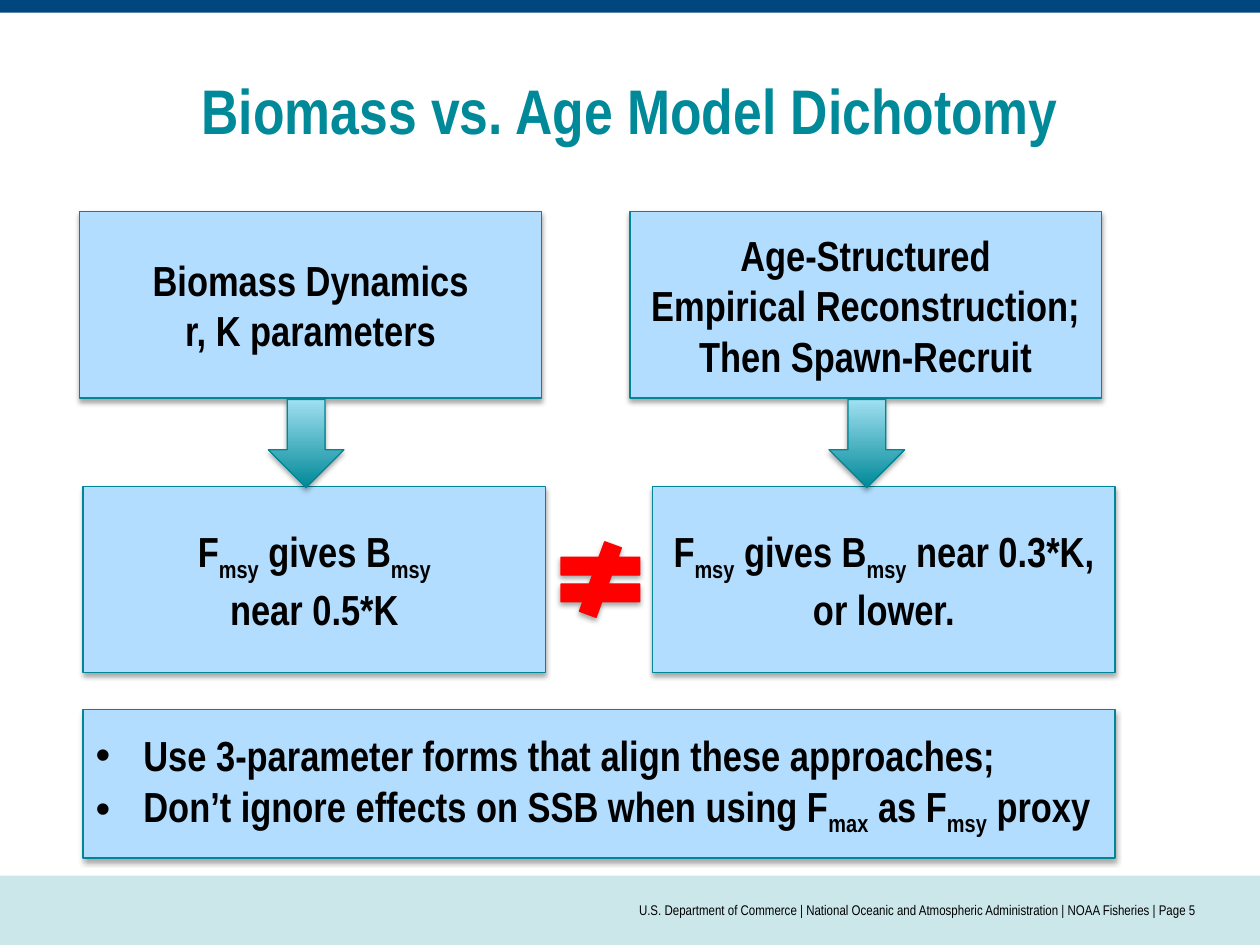
import pptx
import pptx.util
import pptx.dml.color
import pptx.enum.shapes
import pptx.enum.text
import pptx.oxml
import pptx.oxml.ns

Inches = pptx.util.Inches
Pt = pptx.util.Pt
Kind = pptx.enum.shapes.MSO_SHAPE
Align = pptx.enum.text.PP_ALIGN
Anchor = pptx.enum.text.MSO_ANCHOR


def rgb(code):
    return pptx.dml.color.RGBColor.from_string(code)


class Deck:
    """Holds the style and the current slide, and draws each kind of element."""

    face = "Arial Narrow"
    teal = "008998"
    edge = "008695"
    pale = "B2DDFF"
    ink = "000000"

    def __init__(self):
        self.show = pptx.Presentation()
        self.show.slide_width = Inches(10)
        self.show.slide_height = Inches(7.5)
        self.slide = self.show.slides.add_slide(self.show.slide_layouts[6])

    def shape(self, kind, spot, fill):
        item = self.slide.shapes.add_shape(kind, *map(Inches, spot))
        item.shadow.inherit = False
        if fill:
            item.fill.solid()
            item.fill.fore_color.rgb = rgb(fill)
        return item

    def band(self, top, height, fill):
        self.shape(Kind.RECTANGLE, (0, top, 10, height), fill).line.fill.background()

    def raised(self, kind, spot, fill, edge):
        item = self.shape(kind, spot, fill)
        item.line.color.rgb = rgb(edge)
        item.line.width = Pt(0.75)
        shade = pptx.oxml.parse_xml(
            f'<a:outerShdw {pptx.oxml.ns.nsdecls("a")} blurRad="{Pt(3.1)}" '
            f'dist="{Pt(1.8)}" dir="5400000" rotWithShape="0">'
            '<a:srgbClr val="000000"><a:alpha val="35000"/></a:srgbClr></a:outerShdw>')
        item._element.spPr.find(pptx.oxml.ns.qn("a:effectLst")).append(shade)
        return item

    def arrow(self, left, top):
        item = self.raised(Kind.DOWN_ARROW, (left, top, 0.6, 0.7), None, self.edge)
        item.fill.gradient()
        item.fill.gradient_angle = 90
        for stop, tint in zip(item.fill.gradient_stops, (self.teal, "A0E0F1")):
            stop.color.rgb = rgb(tint)

    def words(self, frame, lines, size, color, bold, align, bullet=False):
        frame.word_wrap = True
        frame.vertical_anchor = Anchor.MIDDLE
        for row, line in enumerate(lines):
            para = frame.add_paragraph() if row else frame.paragraphs[0]
            para.alignment = align
            if bullet:
                props = para._p.get_or_add_pPr()
                props.set("marL", str(Inches(0.38)))
                props.set("indent", str(-Inches(0.38)))
                for mark in ('buFont {} typeface="Arial"', 'buChar {} char="•"'):
                    body = mark.format(pptx.oxml.ns.nsdecls("a"))
                    props.append(pptx.oxml.parse_xml(f"<a:{body}/>"))
            for part, text in enumerate(line.split("_")):
                run = para.add_run()
                run.text = text
                run.font.name = self.face
                run.font.size = Pt(size)
                run.font.bold = bold
                run.font.color.rgb = rgb(color)
                if part % 2:
                    run._r.get_or_add_rPr().set("baseline", "-25000")

    def label(self, spot, text, size, color, bold, align, inset=0.1):
        frame = self.slide.shapes.add_textbox(*map(Inches, spot)).text_frame
        frame.margin_left = frame.margin_right = Inches(inset)
        self.words(frame, [text], size, color, bold, align)

    def card(self, spot, lines, bullet=False):
        item = self.raised(Kind.RECTANGLE, spot, self.pale, self.edge)
        align = Align.LEFT if bullet else Align.CENTER
        self.words(item.text_frame, lines, 24, self.ink, True, align, bullet)


def main():
    deck = Deck()
    deck.band(6.95, 0.55, "CCE7EA")
    deck.band(0, 0.1, "00467F")
    deck.label((0.5, 0.5, 9, 0.74), "Biomass vs. Age Model Dichotomy",
               36, deck.teal, True, Align.CENTER)
    deck.label((2.5, 6.95, 7, 0.55),
               "U.S. Department of Commerce | National Oceanic and Atmospheric "
               "Administration | NOAA Fisheries | Page 5",
               8, deck.ink, False, Align.RIGHT, 0)

    high, low, tall, wide = 1.68, 3.86, 1.48, 3.67
    deck.card((0.63, high, wide, tall), ["Biomass Dynamics", "r, K parameters"])
    deck.card((5, high, 3.74, tall),
              ["Age-Structured", "Empirical Reconstruction;", "Then Spawn-Recruit"])
    deck.card((0.66, low, wide, tall), ["F_msy_ gives B_msy", "near 0.5*K"])
    deck.card((5.18, low, wide, tall), ["F_msy_ gives B_msy_ near 0.3*K, or lower."])
    for left in (2.13, 6.58):
        deck.arrow(left, 3.17)
    deck.raised(Kind.MATH_NOT_EQUAL, (4.34, 4.3, 0.85, 0.6), "FF0000", "FF0000")
    deck.card((0.66, 5.63, 8.19, 1.18),
              ["Use 3-parameter forms that align these approaches;",
               "Don’t ignore effects on SSB when using F_max_ as F_msy_ proxy"], True)
    deck.show.save("out.pptx")


if __name__ == "__main__":
    main()
